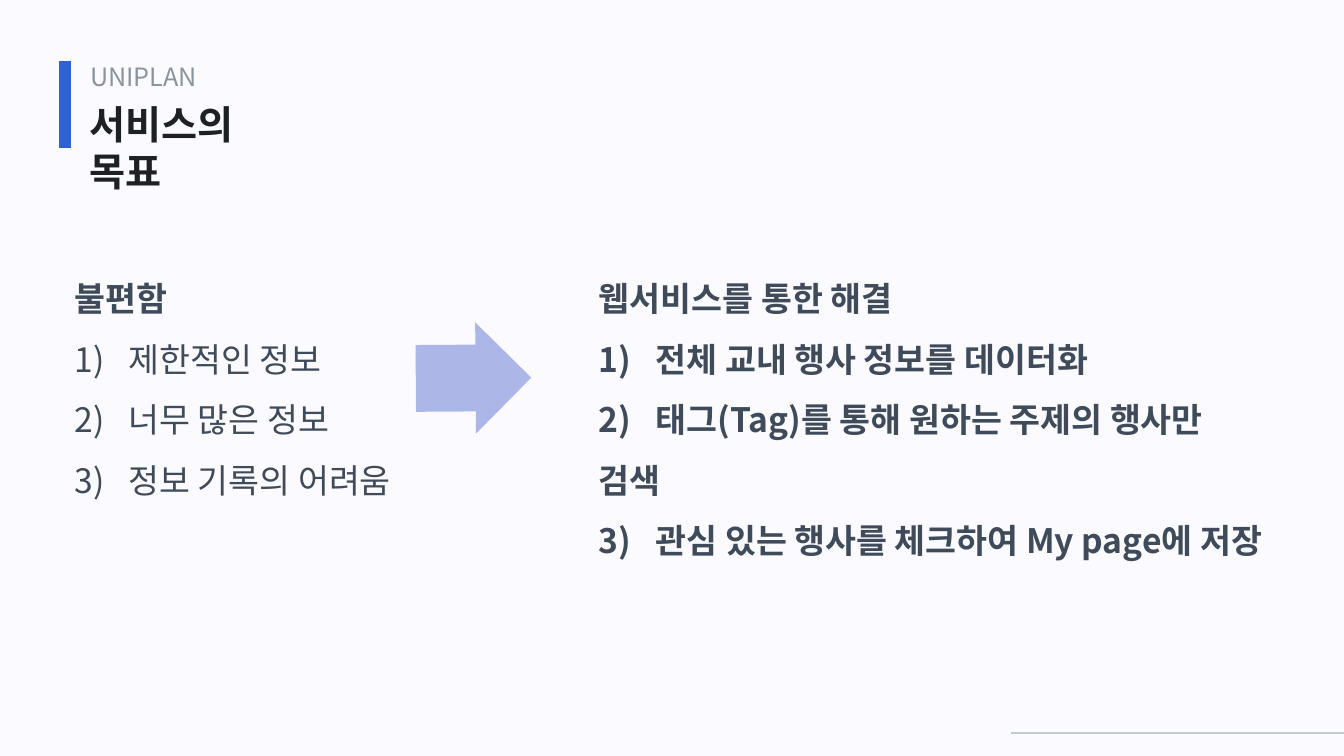
from dataclasses import dataclass

from lxml import etree
from pptx import Presentation
from pptx import util as u
from pptx.dml.color import RGBColor
from pptx.enum import shapes, text
from pptx.oxml.ns import qn

PX = 9525
FONT = "Noto Sans CJK KR"
PAPER = RGBColor(0xFA, 0xFA, 0xFF)
INK = RGBColor(0x1D, 0x20, 0x24)
SLATE = RGBColor(0x3F, 0x4B, 0x5A)
GREY = RGBColor(0x8A, 0x94, 0xA0)
RULE = RGBColor(0xC5, 0xCA, 0xD0)
BLUE = RGBColor(0x2E, 0x62, 0xD5)
LILAC = RGBColor(0xAD, 0xB7, 0xE7)


@dataclass
class Column:
    left: int
    width: int
    tab: int
    head: str
    items: list[str]
    bold: bool


@dataclass
class Line:
    start: tuple[int, int]
    end: tuple[int, int]
    color: RGBColor
    weight: float


COLUMNS = [
    Column(62, 444, 51, "불편함",
           ["제한적인 정보", "너무 많은 정보", "정보 기록의 어려움"], False),
    Column(561, 660, 54, "웹서비스를 통한 해결",
           ["전체 교내 행사 정보를 데이터화",
            "태그(Tag)를 통해 원하는 주제의 행사만 검색",
            "관심 있는 행사를 체크하여 My page에 저장"], True),
]
LINES = [
    Line((963, 698), (1280, 698), RULE, 1.5),
    Line((62, 58), (62, 141), BLUE, 8),
]


def px(*sizes: int) -> list[u.Emu]:
    return [u.Emu(size * PX) for size in sizes]


def style(para, size: int, color: RGBColor, bold: bool = False) -> None:
    font = para.font
    font.name, font.size, font.bold = FONT, u.Pt(size), bold
    font.color.rgb = color
    props = para._p.pPr.find(qn("a:defRPr"))
    etree.SubElement(props, qn("a:ea"), typeface=FONT)


def set_tab(para, pos: int) -> None:
    """Add a left tab stop, which must come before the font defaults."""
    stops = etree.Element(qn("a:tabLst"))
    etree.SubElement(stops, qn("a:tab"), pos=str(pos * PX), algn="l")
    para._p.pPr.find(qn("a:defRPr")).addprevious(stops)


def add_column(slide, col: Column) -> None:
    frame = slide.shapes.add_textbox(*px(col.left, 241, col.width, 237)).text_frame
    frame.word_wrap = True
    rows = [f"{i})\t{item}" for i, item in enumerate(col.items, 1)]
    frame.text = "\n".join([col.head, *rows])
    for i, para in enumerate(frame.paragraphs):
        para.line_spacing = 1.5
        style(para, 24, SLATE, col.bold or i == 0)
        set_tab(para, col.tab)


def add_line(slide, line: Line) -> None:
    rule = slide.shapes.add_connector(
        shapes.MSO_CONNECTOR.STRAIGHT, *px(*line.start, *line.end))
    rule.line.color.rgb = line.color
    rule.line.width = u.Pt(line.weight)
    etree.SubElement(rule._element.spPr, qn("a:effectLst"))


def add_title(slide, words: str) -> None:
    title = slide.shapes.title
    title.left, title.top, title.width, title.height = px(76, 91, 210, 55)
    frame = title.text_frame
    frame.text = words
    frame.word_wrap = True
    frame.auto_size = text.MSO_AUTO_SIZE.NONE
    frame.vertical_anchor = text.MSO_ANCHOR.TOP
    para = frame.paragraphs[0]
    para.alignment = text.PP_ALIGN.LEFT
    style(para, 28, INK, True)


def add_label(slide, words: str) -> None:
    frame = slide.shapes.add_textbox(*px(86, 58, 484, 29)).text_frame
    frame.margin_left = frame.margin_right = 0
    frame.margin_top = frame.margin_bottom = 0
    frame.word_wrap = True
    frame.text = words
    style(frame.paragraphs[0], 18, GREY)


def add_arrow(slide) -> None:
    arrow = slide.shapes.add_shape(
        shapes.MSO_SHAPE.RIGHT_ARROW, *px(396, 307, 110, 106))
    arrow.adjustments[0], arrow.adjustments[1] = 0.6, 0.5
    arrow.rotation = 359.6
    arrow.shadow.inherit = False
    arrow.fill.solid()
    arrow.fill.fore_color.rgb = LILAC
    arrow.line.fill.background()


def main() -> None:
    deck = Presentation()
    deck.slide_width, deck.slide_height = px(1280, 720)
    slide = deck.slides.add_slide(deck.slide_layouts.get_by_name("Title Only"))
    fill = slide.background.fill
    fill.solid()
    fill.fore_color.rgb = PAPER
    add_label(slide, "UNIPLAN")
    add_title(slide, "서비스의 목표")
    for line in LINES:
        add_line(slide, line)
    for col in COLUMNS:
        add_column(slide, col)
    add_arrow(slide)
    deck.save("out.pptx")


if __name__ == "__main__":
    main()
